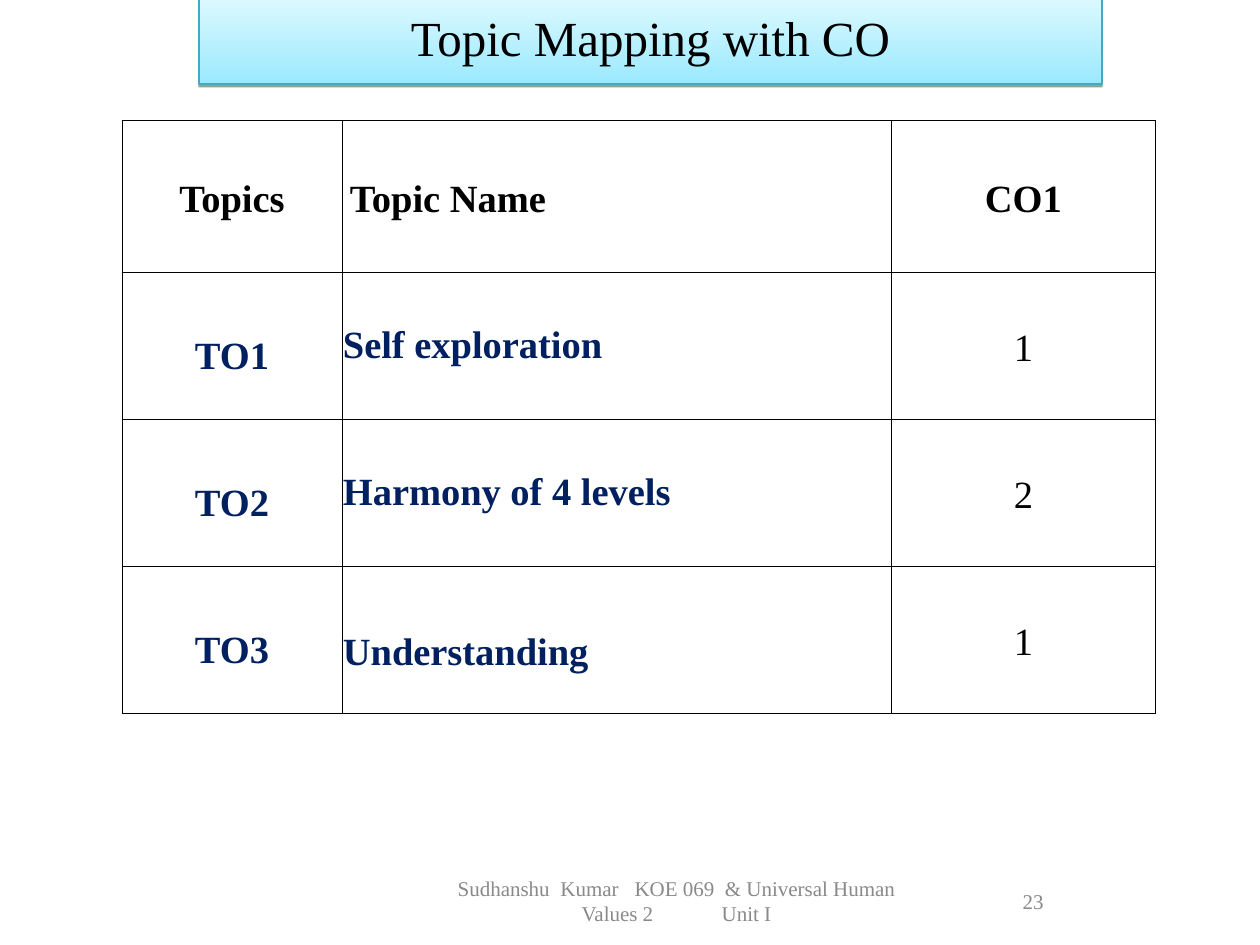
import pptx
import pptx.util
import pptx.dml.color
import pptx.enum.shapes
import pptx.enum.text
import pptx.oxml
import pptx.oxml.ns

PX = 914400 // 126
ALIGN = pptx.enum.text.PP_ALIGN
MIDDLE = pptx.enum.text.MSO_ANCHOR.MIDDLE
NS = pptx.oxml.ns.nsdecls("a")
BLACK, NAVY, GREY = "000000", "002060", "898989"


def color(code):
    return pptx.dml.color.RGBColor.from_string(code)


class Deck:
    font = "Times New Roman"

    def __init__(self, wide, high):
        self.prs = pptx.Presentation()
        self.prs.slide_width = wide * PX
        self.prs.slide_height = high * PX
        self.slide = self.prs.slides.add_slide(self.prs.slide_layouts[6])

    def style(self, para, size, code, align, bold=False, lead=1.0):
        para.alignment = align
        para.line_spacing = lead
        for run in para.runs:
            run.font.name = self.font
            run.font.size = pptx.util.Pt(size)
            run.font.bold = bold
            run.font.color.rgb = color(code)

    def banner(self, text, *box):
        shape = self.slide.shapes.add_shape(
            pptx.enum.shapes.MSO_SHAPE.RECTANGLE, *[n * PX for n in box])
        shape.fill.gradient()
        shape.fill.gradient_angle = 90
        for stop, code in zip(shape.fill.gradient_stops, ("9BE9FF", "E2FBFF")):
            stop.color.rgb = color(code)
        shape.line.color.rgb = color("45A9C4")
        shape.line.width = pptx.util.Pt(0.75)
        # Soft drop shadow straight below
        shape._element.spPr.append(pptx.oxml.parse_xml(
            f'<a:effectLst {NS}><a:outerShdw blurRad="0" dist="20000" '
            'dir="5400000" rotWithShape="0"><a:srgbClr val="000000">'
            '<a:alpha val="38000"/></a:srgbClr></a:outerShdw></a:effectLst>'))
        frame = shape.text_frame
        frame.text = text
        frame.vertical_anchor = MIDDLE
        self.style(frame.paragraphs[0], 28, BLACK, ALIGN.CENTER)

    def label(self, parts, align, *box):
        """Parts are texts, or numbers for a space widened by that many points."""
        frame = self.slide.shapes.add_textbox(*[n * PX for n in box]).text_frame
        frame.word_wrap = True
        frame.vertical_anchor = MIDDLE
        para = frame.paragraphs[0]
        for part in parts:
            run = para.add_run()
            if isinstance(part, str):
                run.text = part
            else:
                run.text = " "
                run.font._element.set("spc", str(part * 100))
        self.style(para, 12, GREY, align)

    def border(self, cell):
        props = cell._tc.get_or_add_tcPr()
        for side in ("lnL", "lnR", "lnT", "lnB"):
            props.append(pptx.oxml.parse_xml(
                f'<a:{side} {NS} w="5715"><a:solidFill><a:srgbClr '
                f'val="{BLACK}"/></a:solidFill></a:{side}>'))

    def cell(self, cell, text, code, align, bold, lead, inset):
        self.border(cell)
        cell.fill.background()
        cell.vertical_anchor = MIDDLE
        cell.margin_left = cell.margin_right = inset * PX
        cell.margin_top = cell.margin_bottom = 6 * PX
        cell.text = text
        self.style(cell.text_frame.paragraphs[0], 22, code, align, bold, lead)

    def table(self, left, top, cols, rows, cells):
        table = self.slide.shapes.add_table(
            len(rows), len(cols), left * PX, top * PX,
            sum(cols) * PX, sum(rows) * PX).table
        table.first_row = table.horz_banding = False
        for col, wide in zip(table.columns, cols):
            col.width = wide * PX
        for row, high, line in zip(table.rows, rows, cells):
            row.height = high * PX
            for cell, look in zip(row.cells, line):
                self.cell(cell, *look)


def main():
    deck = Deck(1260, 945)

    # Title
    deck.banner("Topic Mapping with CO", 199, -10, 903, 94)

    # Footer and page number
    deck.label(["Sudhanshu", 3, "Kumar", 6, "KOE 069", 3,
                "& Universal Human Values 2", 36, "Unit I"],
               ALIGN.CENTER, 417, 876, 519, 50)
    deck.label(["23"], ALIGN.RIGHT, 835, 876, 221, 50)

    # Topic table: text, colour, alignment, bold, line spacing, side inset
    cells = [[("Topics", BLACK, ALIGN.CENTER, True, 1.15, 8),
              ("Topic Name", BLACK, ALIGN.LEFT, True, 1.15, 8),
              ("CO1", BLACK, ALIGN.CENTER, True, 1.15, 8)]]
    topics = [("TO1", "Self exploration", "1", ALIGN.JUSTIFY, 1.0),
              ("TO2", "Harmony of 4 levels", "2", ALIGN.LEFT, 1.0),
              ("TO3", "Understanding", "1", ALIGN.JUSTIFY, 1.6)]
    for code, name, level, align, lead in topics:
        cells.append([(code, NAVY, ALIGN.CENTER, True, 1.5, 6),
                      (name, NAVY, align, True, lead, 1),
                      (level, BLACK, ALIGN.CENTER, False, 1.15, 8)])
    deck.table(122, 120, [220, 549, 265], [152] + [147] * 3, cells)

    deck.prs.save("out.pptx")


if __name__ == "__main__":
    main()
